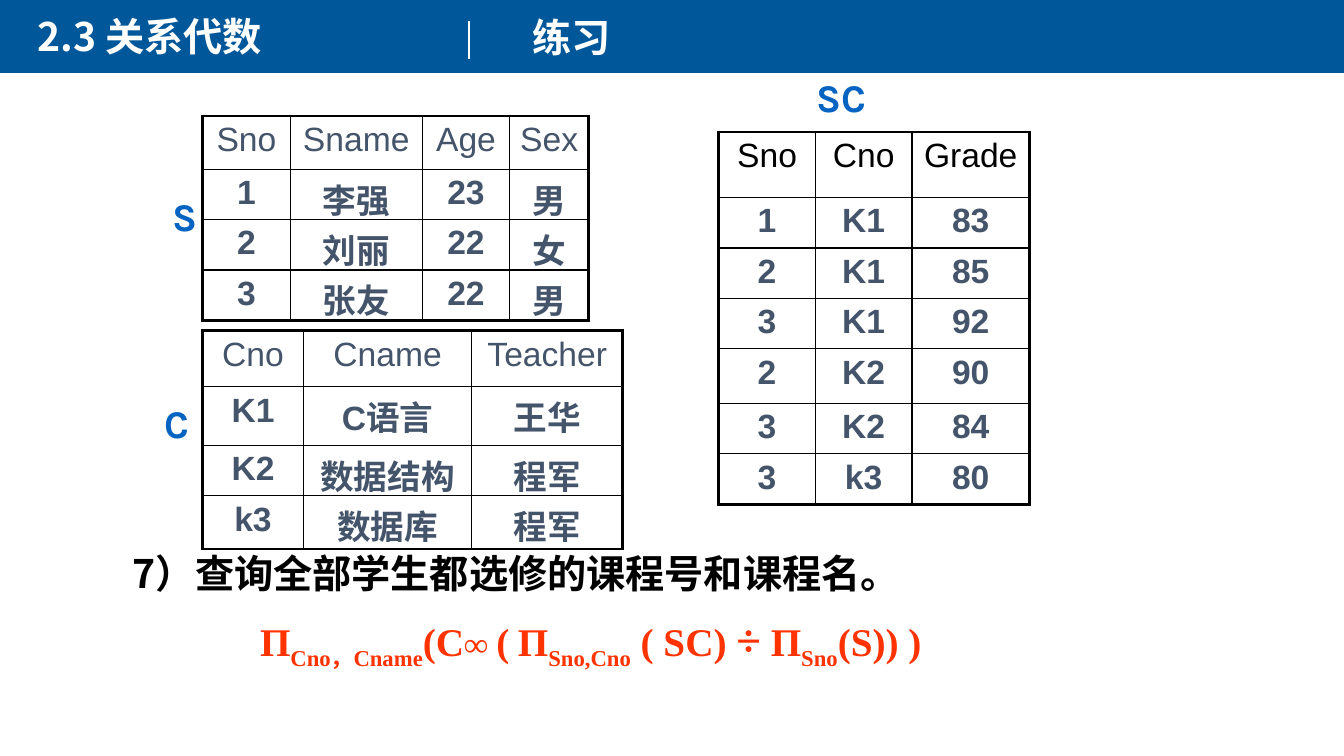
from lxml import etree
from pptx import Presentation
from pptx import util as u
from pptx.dml.color import RGBColor
from pptx.enum import shapes, text
from pptx.oxml.ns import qn

COLORS = {"band": "00589A", "white": "FFFFFF", "black": "000000",
          "slate": "44546A", "label": "0563C1", "formula": "FF3300"}
CJK = "Noto Sans CJK SC"
LEFT, CENTER = text.PP_ALIGN.LEFT, text.PP_ALIGN.CENTER
THIN, THICK = 1, 2.25


def rgb(name):
    return RGBColor.from_string(COLORS[name])


def add_run(p, content, font=CJK, size=28, color="black", bold=True, base=0):
    r = p.add_run()
    r.text = content
    r.font.name = font
    r.font.size = u.Pt(size)
    r.font.bold = bold
    r.font.color.rgb = rgb(color)
    ea = etree.SubElement(r.font._element, qn("a:ea"))
    ea.set("typeface", CJK)
    if base:
        r.font._element.set("baseline", str(base * 1000))


def format_frame(tf, wrap=True, grow=True):
    tf.word_wrap = wrap
    tf.vertical_anchor = text.MSO_ANCHOR.TOP
    fit = text.MSO_AUTO_SIZE
    tf.auto_size = fit.SHAPE_TO_FIT_TEXT if grow else fit.NONE


def add_text(s, box, runs, align=LEFT, wrap=True, grow=True, hang=0, **fmt):
    sp = s.shapes.add_textbox(*map(u.Pt, box))
    format_frame(sp.text_frame, wrap, grow)
    p = sp.text_frame.paragraphs[0]
    p.alignment = align
    if hang:
        pPr = p._p.get_or_add_pPr()
        pPr.set("marL", str(u.Pt(hang)))
        pPr.set("indent", str(-u.Pt(hang)))
    for content, extra in runs:
        add_run(p, content, **{**fmt, **extra})


def add_band(s, box):
    sp = s.shapes.add_shape(shapes.MSO_SHAPE.RECTANGLE, *map(u.Pt, box))
    sp.shadow.inherit = False
    sp.fill.solid()
    sp.fill.fore_color.rgb = rgb("band")
    sp.line.fill.background()


def set_title(s, box, content):
    sp = s.shapes.title
    sp.left, sp.top, sp.width, sp.height = map(u.Pt, box)
    s.shapes.element.append(sp.element)
    format_frame(sp.text_frame)
    p = sp.text_frame.paragraphs[0]
    p.alignment = LEFT
    add_run(p, content, color="white")


def add_divider(s, x, top, bottom):
    ln = s.shapes.add_connector(shapes.MSO_CONNECTOR.STRAIGHT,
                                *map(u.Pt, (x, top, x, bottom)))
    ln.line.color.rgb = rgb("white")
    ln.line.width = u.Pt(1.5)
    etree.SubElement(ln.element.spPr, qn("a:effectLst"))


def set_borders(cell, outer):
    tcPr = cell._tc.get_or_add_tcPr()
    for i, side in enumerate(("lnL", "lnR", "lnT", "lnB")):
        ln = etree.Element(qn("a:" + side))
        ln.set("w", str(u.Pt(THICK if outer[i] else THIN)))
        fill = etree.SubElement(ln, qn("a:solidFill"))
        etree.SubElement(fill, qn("a:srgbClr")).set("val", COLORS["black"])
        tcPr.insert(i, ln)


def add_relation(s, left, top, widths, heights, rows, head="slate"):
    frame = s.shapes.add_table(len(rows), len(widths), u.Pt(left), u.Pt(top),
                               u.Pt(sum(widths)), u.Pt(sum(heights)))
    table = frame.table
    table.first_row = table.horz_banding = False
    for col, width in zip(table.columns, widths):
        col.width = u.Pt(width)
    for i, (height, row) in enumerate(zip(heights, rows)):
        table.rows[i].height = u.Pt(height)
        for j, value in enumerate(row):
            cell = table.cell(i, j)
            cell.fill.background()
            set_borders(cell, (j == 0, j == len(row) - 1,
                               i == 0, i == len(rows) - 1))
            p = cell.text_frame.paragraphs[0]
            p.alignment = CENTER
            add_run(p, value, font="Arial", size=24, bold=i > 0,
                    color="slate" if i else head)


def main():
    prs = Presentation()
    prs.slide_width, prs.slide_height = u.Pt(960), u.Pt(540)
    s = prs.slides.add_slide(prs.slide_layouts[5])

    add_band(s, (0, -1.2, 960, 53.2))
    set_title(s, (19.4, 5, 398, 41), "2.3 关系代数")
    add_text(s, (373, 5.8, 623, 41), [("练习", {})], color="white")
    add_divider(s, 334.8, 15.1, 42.5)

    add_text(s, (87.8, 388.8, 660, 41.8),
             [("7）查询全部学生都选修的课程号和课程名。", {})],
             grow=False, hang=27)
    sub, small = {"base": -25}, {"size": 24}
    add_text(s, (149, 433.4, 546, 45.4),
             [("П", {}), ("Cno，Cname", sub), ("(C", {}), ("∞ ", small),
              ("(", {}), (" ", small), ("П", {}), ("Sno,Cno", sub),
              (" ( SC) ", {}), ("÷", {"size": 32}), (" П", {}),
              ("Sno", sub), ("(S)) )", {})],
             align=CENTER, wrap=False, font="Times New Roman",
             color="formula")

    add_relation(s, 144.7, 82.8, (62.6, 94.3, 62.6, 56.2), (38, 36, 36, 36),
                 [("Sno", "Sname", "Age", "Sex"),
                  ("1", "李强", "23", "男"),
                  ("2", "刘丽", "22", "女"),
                  ("3", "张友", "22", "男")])
    add_relation(s, 144.7, 236.2, (72, 120.2, 108), (40, 42, 36, 38),
                 [("Cno", "Cname", "Teacher"),
                  ("K1", "C语言", "王华"),
                  ("K2", "数据结构", "程军"),
                  ("k3", "数据库", "程军")])
    add_relation(s, 513.4, 94.3, (69, 69, 84),
                 (46.8, 36, 36, 36, 38.9, 36, 36),
                 [("Sno", "Cno", "Grade"),
                  ("1", "K1", "83"),
                  ("2", "K1", "85"),
                  ("3", "K1", "92"),
                  ("2", "K2", "90"),
                  ("3", "K2", "84"),
                  ("3", "k3", "80")], head="black")

    for name, box, wrap in (("S", (115.9, 133.9, 32.4, 41), True),
                            ("C", (110.2, 281.5, 26.6, 41), True),
                            ("SC", (575.3, 49, 51, 41), False)):
        add_text(s, box, [(name, {})], align=CENTER, wrap=wrap,
                 font="Karla", color="label")

    prs.save("out.pptx")


if __name__ == "__main__":
    main()
